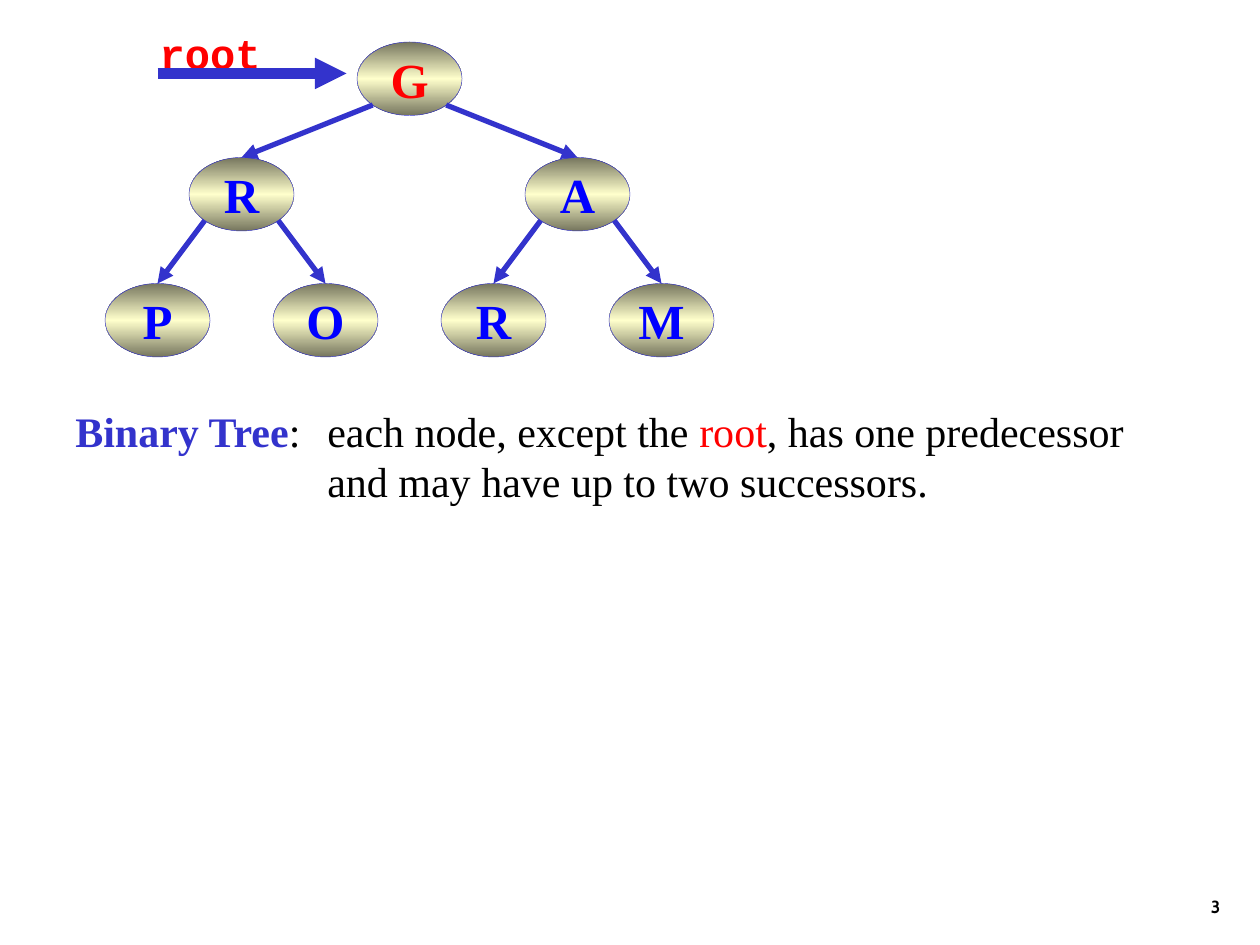
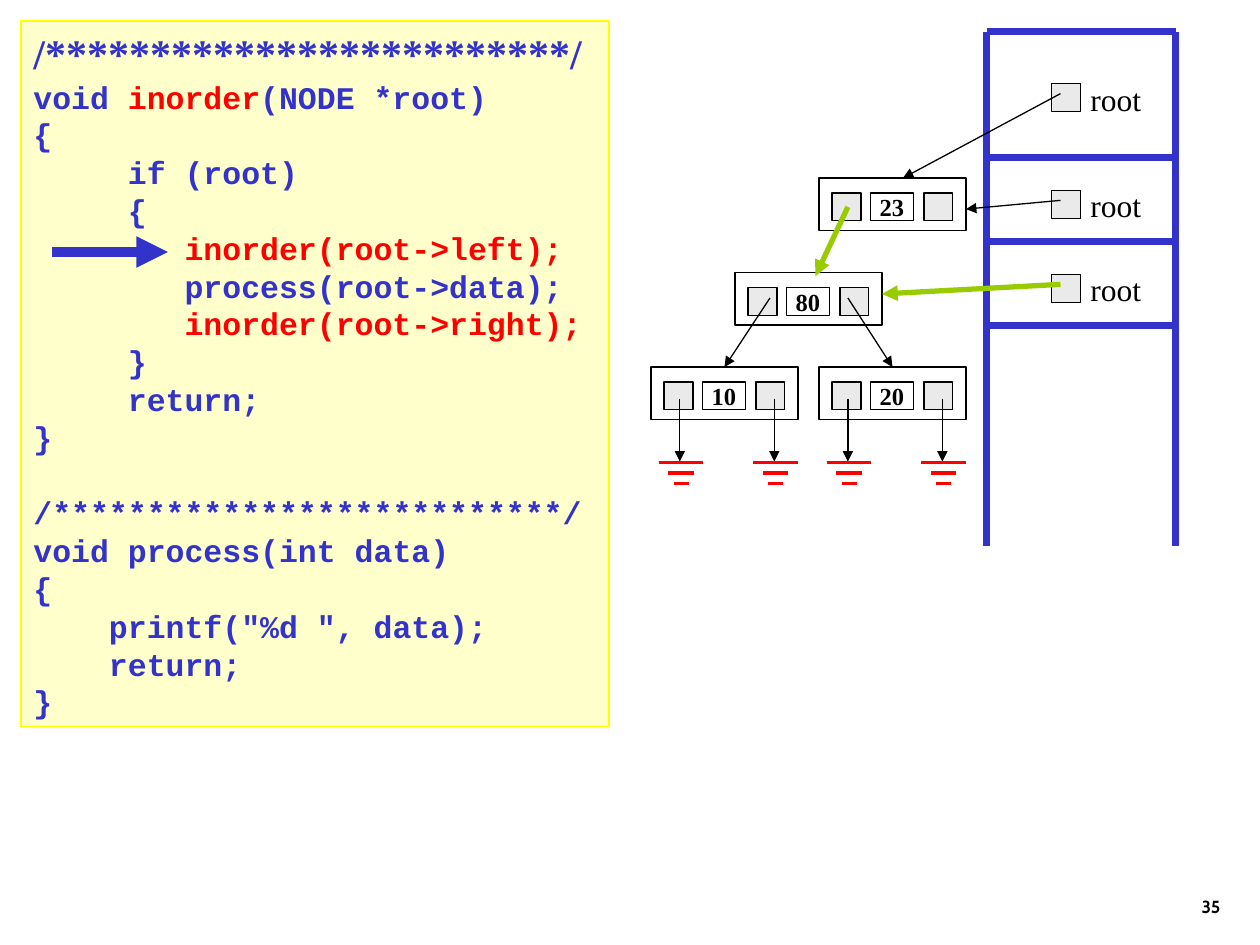
from copy import deepcopy

from pptx import Presentation
from pptx.dml.color import RGBColor
from pptx.enum.shapes import MSO_CONNECTOR, MSO_SHAPE
from pptx.enum.text import MSO_ANCHOR, PP_ALIGN
from pptx.oxml.ns import qn
from pptx.util import Pt
from lxml.etree import SubElement

COLORS = {
    "blue": "3333CC", "letter": "0000FF", "red": "FF0000", "black": "000000",
    "white": "FFFFFF", "gray": "EAEAEA", "green": "99CC00", "cream": "FFFFCC",
    "olive": "76765E", "yellow": "FFFF00",
}
SERIF, MONO, NUMBER_FONT = "Times New Roman", "Courier New", "Cabin"
LINE_HEIGHT = 1.2  # line pitch as a multiple of the text size


def rgb(name):
    return RGBColor.from_string(COLORS[name])


# Shared building parts
def style_paragraph(paragraph, size, font=SERIF, color="black", bold=False,
                    align=PP_ALIGN.LEFT):
    paragraph.alignment = align
    paragraph.font.size = Pt(size)
    paragraph.font.name = font
    paragraph.font.bold = bold
    paragraph.font.color.rgb = rgb(color)


def add_label(slide, box, text, size, wrap=False, anchor=MSO_ANCHOR.TOP, **style):
    shape = slide.shapes.add_textbox(*map(Pt, box))
    shape.text_frame.word_wrap = wrap
    shape.text_frame.vertical_anchor = anchor
    shape.text_frame.text = text
    style_paragraph(shape.text_frame.paragraphs[0], size, **style)


def add_box(slide, box, fill="white", line="black", width=0.75, kind=MSO_SHAPE.RECTANGLE):
    shape = slide.shapes.add_shape(kind, *map(Pt, box))
    shape.shadow.inherit = False
    shape.fill.solid()
    shape.fill.fore_color.rgb = rgb(fill)
    shape.line.color.rgb = rgb(line)
    shape.line.width = Pt(width)
    return shape


def center_text(shape, text, size, color="black"):
    frame = shape.text_frame
    frame.word_wrap = False
    frame.vertical_anchor = MSO_ANCHOR.MIDDLE
    frame.text = text
    style_paragraph(frame.paragraphs[0], size, color=color, bold=True,
                    align=PP_ALIGN.CENTER)


def add_line(slide, start, end, color="black", width=0.75, arrow=False):
    line = slide.shapes.add_connector(MSO_CONNECTOR.STRAIGHT, *map(Pt, (*start, *end)))
    line.line.color.rgb = rgb(color)
    line.line.width = Pt(width)
    if arrow:
        SubElement(line.line._get_or_add_ln(), qn("a:tailEnd"), type="triangle")
    SubElement(line.element.spPr, qn("a:effectLst"))
    return line


def add_slide(presentation, number):
    slide = presentation.slides.add_slide(presentation.slide_layouts[6])
    add_label(slide, (554.4, 491.5, 150, 36), number, 10, wrap=True,
              anchor=MSO_ANCHOR.BOTTOM, font=NUMBER_FONT, bold=True,
              align=PP_ALIGN.RIGHT)
    return slide


def fill_runs(paragraph, runs):
    """Add (text, color) runs; None keeps the paragraph's color."""
    for text, color in runs:
        run = paragraph.add_run()
        run.text = text
        if color:
            run.font.color.rgb = rgb(color)


# Letter tree
NODE_WIDTH, NODE_HEIGHT = 60, 42


def add_letter_node(slide, left, top, letter, color):
    node = add_box(slide, (left, top, NODE_WIDTH, NODE_HEIGHT), line="blue",
                   width=0.25, kind=MSO_SHAPE.OVAL)
    node.fill.gradient()
    node.fill.gradient_angle = 90
    edge, middle = node.fill.gradient_stops
    edge.color.rgb, middle.color.rgb = rgb("olive"), rgb("cream")
    edge.position, middle.position = 0, 0.5
    stops = node.element.spPr.find(qn("a:gradFill")).find(qn("a:gsLst"))
    last_stop = deepcopy(stops[0])
    last_stop.set("pos", "100000")
    stops.append(last_stop)
    center_text(node, letter, 28, color)
    return node


def add_letter_tree(slide, left, top):
    levels, drops, leaf_step = ("G", "RA", "PORM"), (0, 66, 138), 96
    parents = []
    for depth, (letters, drop) in enumerate(zip(levels, drops)):
        step = leaf_step * 2 ** (len(levels) - 1 - depth)
        first = left + (step - leaf_step) / 2
        row = []
        for index, letter in enumerate(letters):
            x, y = first + index * step, top + drop
            node = add_letter_node(slide, x, y, letter, "letter" if depth else "red")
            row.append((node, x, y))
            if parents:
                _, parent_x, parent_y = parents[index // 2]
                side = 21 if index % 2 else -21
                start = (parent_x + NODE_WIDTH / 2 + side, parent_y + 36)
                edge = add_line(slide, start, (x + NODE_WIDTH / 2, y), "blue", 3, True)
                edge.end_connect(node, 0)
        parents = row


def add_definition(slide, box):
    frame = slide.shapes.add_textbox(*map(Pt, box)).text_frame
    frame.word_wrap = True
    lines = [
        [("Binary Tree", "blue"), (":\teach node, except the ", None),
         ("root", "red"), (", has one predecessor", None)],
        [("\t\tand may have up to two successors.", None)],
    ]
    for index, runs in enumerate(lines):
        paragraph = frame.paragraphs[0] if index == 0 else frame.add_paragraph()
        tabs = SubElement(paragraph._p.get_or_add_pPr(), qn("a:tabLst"))
        for inch in (1, 2):
            SubElement(tabs, qn("a:tab"), pos=str(Pt(72 * inch)), algn="l")
        style_paragraph(paragraph, 24)
        paragraph.line_spacing = Pt(24 * LINE_HEIGHT)
        fill_runs(paragraph, runs)
    frame.paragraphs[0].runs[0].font.bold = True


def build_binary_tree_slide(presentation):
    slide = add_slide(presentation, "3")
    add_definition(slide, (36, 228, 642, 65))
    add_label(slide, (84, 12, 72, 36), "root", 24, font=MONO, color="red", bold=True,
              align=PP_ALIGN.RIGHT)
    add_line(slide, (90, 42), (198, 42), "blue", 6, True)
    add_letter_tree(slide, 60, 24)


# Code listing: plain lines, or lists of (text, color) runs
CODE = [
    "/*************************/",
    [("void ", None), ("inorder", "red"), ("(NODE *root)", None)],
    "{",
    "     if (root)",
    "     {",
    [("        ", None), ("inorder(root->left);", "red")],
    "        process(root->data);",
    [("        ", None), ("inorder(root->right);", "red")],
    "     }",
    "     return;",
    "}",
    "/***************************/",
    "void process(int data)",
    "{",
    '    printf("%d ", data);',
    "    return;",
    "}",
]
PROCESS_START = 11  # line that opens the second function
CURRENT_LINE = 5


def add_code(slide, box):
    left, top = box[:2]
    frame = add_box(slide, box, "cream", "yellow").text_frame
    frame.word_wrap = True
    frame.vertical_anchor = MSO_ANCHOR.TOP
    for index, line in enumerate(CODE):
        paragraph = frame.paragraphs[0] if index == 0 else frame.add_paragraph()
        size, font = (18, MONO) if index else (24, SERIF)
        style_paragraph(paragraph, size, font, "blue", bold=True)
        paragraph.line_spacing = Pt(size * LINE_HEIGHT)
        if index == PROCESS_START:
            paragraph.space_before = Pt(size * LINE_HEIGHT)
        fill_runs(paragraph, [(line, None)] if isinstance(line, str) else line)
    # Arrow at the statement being run
    y = top + 24 + CURRENT_LINE * 18 * LINE_HEIGHT
    add_line(slide, (left + 18, y), (left + 84, y), "blue", 6, True)


# Linked tree
LEFT_POINTER, RIGHT_POINTER = 16.5, 70.5  # middles of the pointer fields


def add_pointer(slide, left, top):
    add_box(slide, (left, top, 16.5, 16), "gray")


def add_record(slide, left, top, value):
    record = add_box(slide, (left, top, 84, 30))
    for offset in (7.5, 60):
        add_pointer(slide, left + offset, top + 8.5)
    center_text(add_box(slide, (left + 29.5, top + 8.5, 24.5, 16)), value, 14)
    return record


def add_ground(slide, x, top):
    """Null pointer: a stem over three shrinking bars."""
    add_line(slide, (x, top), (x, top + 36), arrow=True)
    for index, width in enumerate((25.5, 14.5, 8.5)):
        y = top + 36.5 + 6 * index
        middle = x + 0.75
        add_line(slide, (middle - width / 2, y), (middle + width / 2, y), "red", 2)


def add_linked_tree(slide, left, top):
    step_x, step_y = 48, 54
    positions = {"23": (2, 0), "80": (1, 1), "10": (0, 2), "20": (2, 2)}
    corners = {value: (left + column * step_x, top + row * step_y)
               for value, (column, row) in positions.items()}
    records = {value: add_record(slide, *corner, value)
               for value, corner in corners.items()}
    # Links between records
    x, y = corners["23"]
    add_line(slide, (x + LEFT_POINTER, y + 16.5), (x - 2, y + 56), "green", 3, True)
    x, y = corners["80"]
    for child, offset in (("10", 20), ("20", 64.5)):
        link = add_line(slide, (x + offset, y + 14.5), corners[child], arrow=True)
        link.end_connect(records[child], 0)
    # Empty links of the leaves
    for leaf in ("10", "20"):
        x, y = corners[leaf]
        for offset in (LEFT_POINTER, RIGHT_POINTER):
            add_ground(slide, x + offset, y + 18)


# Call stack
def add_stack_walls(slide, left, top, width, height, floors):
    for x in (left, left + width):
        add_line(slide, (x, top), (x, top + height), "blue", 4)
    for floor in (0, *floors):
        add_line(slide, (left, top + floor), (left + width, top + floor), "blue", 4)


def add_stack_frame(slide, left, top, target, color="black", width=0.75):
    add_label(slide, (left + 15, top, 48, 29), "root", 18)
    add_pointer(slide, left, top + 5.75)
    add_line(slide, (left + 5, top + 11.5), target, color, width, True)


def build_inorder_slide(presentation):
    slide = add_slide(presentation, "35")
    add_code(slide, (12, 12, 336, 403))
    stack_left, stack_top = 564, 18
    add_stack_walls(slide, stack_left, stack_top, 108, 294, (72, 120, 168))
    add_linked_tree(slide, 372, 101.75)
    frames = [
        (24, (516, 101.75), "black", 0.75),
        (85, (552, 119.5), "black", 0.75),
        (133, (504, 168), "green", 3),
    ]
    for drop, *arrow in frames:
        add_stack_frame(slide, stack_left + 37, stack_top + drop, *arrow)


def main():
    presentation = Presentation()
    presentation.slide_width, presentation.slide_height = Pt(720), Pt(540)
    build_binary_tree_slide(presentation)
    build_inorder_slide(presentation)
    presentation.save("out.pptx")


if __name__ == "__main__":
    main()
